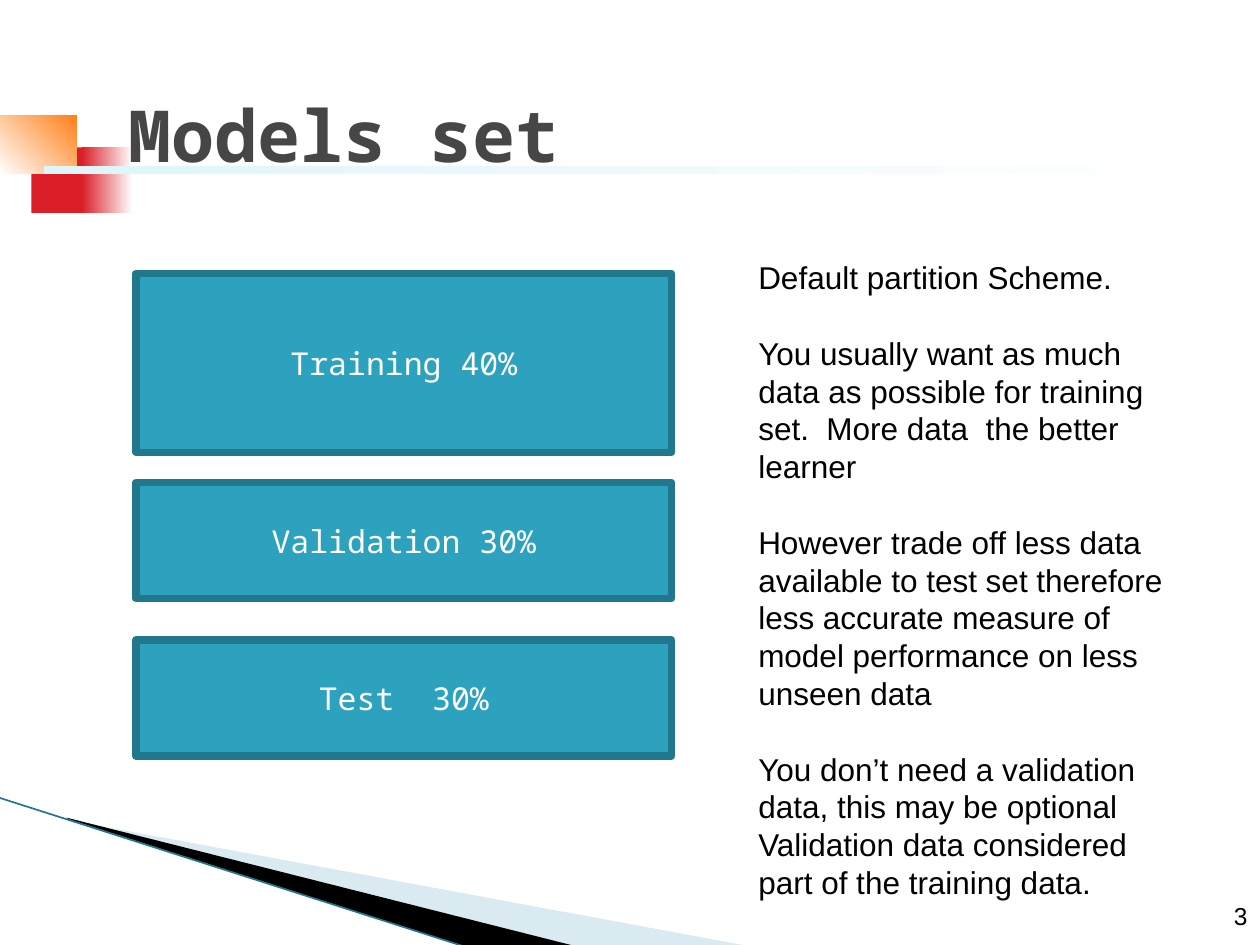
from lxml import etree
from pptx import Presentation
from pptx.dml.color import RGBColor
from pptx.enum.shapes import MSO_CONNECTOR, MSO_SHAPE
from pptx.enum.text import MSO_ANCHOR, PP_ALIGN
from pptx.oxml.ns import qn
from pptx.util import Inches, Pt

RECT = MSO_SHAPE.RECTANGLE
STRAIGHT = MSO_CONNECTOR.STRAIGHT
MIDDLE = MSO_ANCHOR.MIDDLE
LEFT, CENTER, RIGHT = PP_ALIGN.LEFT, PP_ALIGN.CENTER, PP_ALIGN.RIGHT
SANS, MONO = "Arial", "Noto Sans Mono"


def color(code):
    """Turn a hex string into a colour."""
    return RGBColor.from_string(code)


def style(para, font, size, code, align=LEFT, bold=False):
    """Set the font and alignment of a paragraph."""
    para.alignment = align
    para.font.name = font
    para.font.size = Pt(size)
    para.font.bold = bold
    para.font.color.rgb = color(code)


def add_rect(slide, box, code, end=None, angle=0):
    """Add a borderless rectangle, plain or fading from code to end."""
    shape = slide.shapes.add_shape(RECT, *map(Inches, box))
    shape.shadow.inherit = False
    shape.line.fill.background()
    if end is None:
        shape.fill.solid()
        shape.fill.fore_color.rgb = color(code)
    else:
        shape.fill.gradient()
        shape.fill.gradient_angle = angle
        for stop, tone in zip(shape.fill.gradient_stops, (code, end)):
            stop.color.rgb = color(tone)
    return shape


def add_wedge(slide, points, code, alpha=None):
    """Add a filled outline through points, with alpha in percent."""
    spots = [(Inches(x), Inches(y)) for x, y in points]
    form = slide.shapes.build_freeform(*spots[0], scale=1.0)
    form.add_line_segments(spots[1:], close=True)
    shape = form.convert_to_shape()
    shape.shadow.inherit = False
    shape.line.fill.background()
    shape.fill.solid()
    shape.fill.fore_color.rgb = color(code)
    if alpha is not None:
        tone = shape.fill._xPr.find(".//" + qn("a:srgbClr"))
        etree.SubElement(tone, qn("a:alpha")).set("val", str(alpha * 1000))


def add_text(slide, box):
    """Add an empty wrapping text box and return its frame."""
    frame = slide.shapes.add_textbox(*map(Inches, box)).text_frame
    frame.word_wrap = True
    return frame


def add_corner(slide, left, top):
    """Draw the wedges and the edge line in the lower left corner."""
    def place(*points):
        return [(left + x, top + y) for x, y in points]

    add_wedge(slide, place((0.55, 0.18), (5.95, 1.18), (4.56, 1.18), (0.55, 0.17)),
              "A0CBDC", 40)
    add_wedge(slide, place((0.53, 0.16), (4.57, 1.18), (3.72, 1.19), (0.54, 0.17)),
              "000000")
    start, stop = place((-0.01, 0), (3.71, 1.19))
    edge = slide.shapes.add_connector(STRAIGHT, *map(Inches, start + stop))
    edge.line.color.rgb = color("21788D")
    edge.line.width = Pt(0.95)
    etree.SubElement(edge._element.spPr, qn("a:effectLst"))


def add_header(slide, left, top, title):
    """Draw the coloured blocks, the rule and the title."""
    add_rect(slide, (left + 0.25, top + 0.25, 0.46, 0.52), "DA1F28")
    add_rect(slide, (left + 0.65, top + 0.25, 0.4, 0.52), "DA1F28", "FFFFFF")
    add_rect(slide, (left, top, 0.61, 0.46), "FFFFFF", "FF8119", 45)
    add_rect(slide, (left + 0.35, top + 0.4, 9.51, 0.06), "DEF5FA", "FFFFFF")
    frame = add_text(slide, (left + 0.92, top - 0.46, 8.5, 1.21))
    frame.vertical_anchor = MIDDLE
    frame.text = title
    style(frame.paragraphs[0], MONO, 41, "464646", bold=True)


def add_sets(slide, left, top, width, sets):
    """Draw one labelled bar for each (label, offset, height)."""
    for label, offset, height in sets:
        bar = add_rect(slide, (left, top + offset, width, height), "2DA2BF")
        bar.line.color.rgb = color("21788D")
        bar.line.width = Pt(4.33)
        bar.text_frame.vertical_anchor = MIDDLE
        bar.text_frame.text = label
        style(bar.text_frame.paragraphs[0], MONO, 18, "FFFFFF", CENTER)


def add_notes(slide, box, blocks):
    """Write blocks of paragraphs with a line of space between blocks."""
    frame = add_text(slide, box)
    frame.text = "\n".join(text for block in blocks for text in block)
    heads = [i == 0 for block in blocks for i in range(len(block))]
    for i, (para, head) in enumerate(zip(frame.paragraphs, heads)):
        style(para, SANS, 18, "000000")
        para.line_spacing = Pt(21.6)
        para.space_before = Pt(21.6 if head and i else 0)


def add_number(slide, box, number):
    """Write the slide number."""
    frame = add_text(slide, box)
    frame.text = number
    style(frame.paragraphs[0], SANS, 14, "000000", RIGHT)


def main():
    """Build and save the slide."""
    deck = Presentation()
    deck.slide_width, deck.slide_height = Inches(10), Inches(7.5)
    slide = deck.slides.add_slide(deck.slide_layouts[6])
    add_corner(slide, 0, 6.33)
    add_number(slide, (9, 7.1, 1, 0.33), "3")
    add_header(slide, 0, 0.92, "Models set")
    add_sets(slide, 1.08, 2.17, 4.25, [
        ("Training 40%", 0, 1.42),
        ("Validation 30%", 1.66, 0.92),
        ("Test  30%", 2.91, 0.92),
    ])
    add_notes(slide, (5.92, 2, 3.5, 6.16), [
        ["Default partition Scheme."],
        ["You usually want as much data as possible for training set.  "
         "More data  the better learner"],
        ["However trade off less data available to test set therefore less "
         "accurate measure of model performance on less unseen data"],
        ["You don’t need a validation data, this may be optional",
         "Validation data considered part of the training data."],
    ])
    deck.save("out.pptx")


main()
